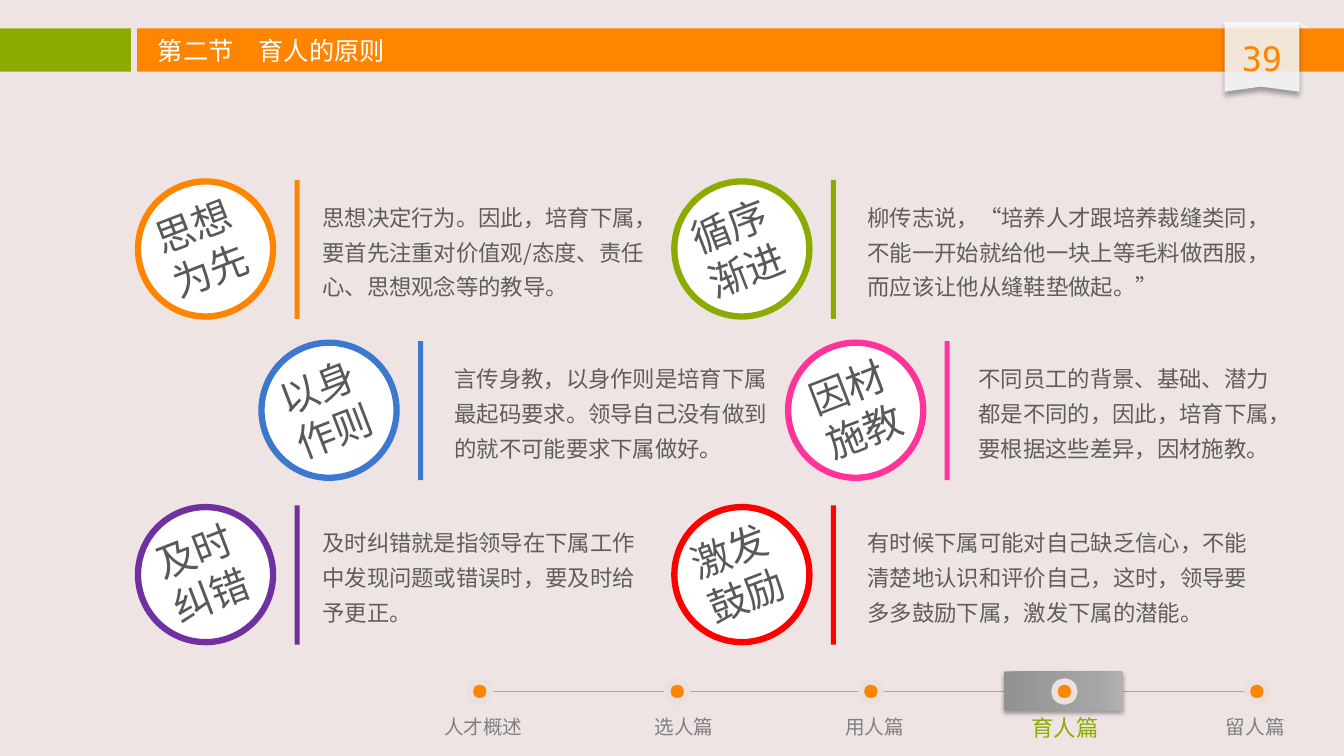
from lxml import etree
from pptx import Presentation, util as u
from pptx.dml.color import RGBColor
from pptx.enum import shapes, text
from pptx.oxml import parse_xml
from pptx.oxml.ns import qn

Pt = u.Pt
MSO = shapes.MSO_SHAPE
COLORS = {
    "bg": "EEE4E4", "orange": "FF8500", "green": "8BAB00", "blue": "3C78CE",
    "pink": "FF3399", "purple": "7030A0", "red": "FF0000", "white": "FFFFFF",
    "fold": "F8F8F8", "ring": "EAE0DE", "track": "A6A6A6", "nav": "808080",
    "label": "595959", "body": "5F5E5C",
    "tab1": "939292", "tab2": "A6A6A7", "tab3": "B6B0B2",
}
SANS = "Noto Sans CJK SC"
A = 'xmlns:a="http://schemas.openxmlformats.org/drawingml/2006/main"'

prs = Presentation()
prs.slide_width, prs.slide_height = Pt(960), Pt(540)
s = prs.slides.add_slide(prs.slide_layouts[6])
s.background.fill.solid()
s.background.fill.fore_color.rgb = RGBColor.from_string(COLORS["bg"])


def style(sp, fill, line=None, alpha=None, shadow=None):
    sp.shadow.inherit = False
    sp.fill.solid()
    sp.fill.fore_color.rgb = RGBColor.from_string(COLORS[fill])
    if alpha:
        color = sp.fill._xPr.find(qn("a:solidFill"))[0]
        etree.SubElement(color, qn("a:alpha")).set("val", str(alpha * 1000))
    if line:
        sp.line.color.rgb = RGBColor.from_string(COLORS[line])
        sp.line.width = Pt(4.5)
    else:
        sp.line.fill.background()
    if shadow:
        blur, dist, opacity = shadow
        sp._element.spPr.find(qn("a:effectLst")).append(parse_xml(
            f'<a:outerShdw {A} blurRad="{Pt(blur)}" dist="{Pt(dist)}" dir="5400000" '
            f'algn="t" rotWithShape="0"><a:srgbClr val="000000">'
            f'<a:alpha val="{opacity * 1000}"/></a:srgbClr></a:outerShdw>'))
    return sp


def add_text(words, x, y, w, h, size, color, font=SANS, center=False,
             wrap=True, spacing=None, rotation=0):
    sp = s.shapes.add_textbox(Pt(x), Pt(y), Pt(w), Pt(h))
    sp.rotation = rotation
    tf = sp.text_frame
    tf.word_wrap = wrap
    tf.auto_size = text.MSO_AUTO_SIZE.SHAPE_TO_FIT_TEXT
    for i, line in enumerate(words.split("\n")):
        p = tf.add_paragraph() if i else tf.paragraphs[0]
        p.alignment = text.PP_ALIGN.CENTER if center else text.PP_ALIGN.LEFT
        if spacing:
            p.line_spacing = spacing
        r = p.add_run()
        r.text = line
        r.font.size = Pt(size)
        r.font.name = font
        r.font.color.rgb = RGBColor.from_string(COLORS[color])
        etree.SubElement(r.font._element, qn("a:ea")).set("typeface", font)


track = s.shapes.add_connector(shapes.MSO_CONNECTOR.STRAIGHT, Pt(347), Pt(493.9), Pt(896.4), Pt(493.9))
track.line.color.rgb = RGBColor.from_string(COLORS["track"])
track.line.width = Pt(1)
etree.SubElement(track._element.spPr, qn("a:effectLst"))

fold = s.shapes.add_shape(MSO.RIGHT_TRIANGLE, Pt(928.1), Pt(15.1), Pt(8.6), Pt(5.8))
style(fold, "fold", alpha=85, shadow=(4, 3, 40))
for x, w, color in [(0, 93.6, "green"), (97.9, 862.1, "orange")]:
    style(s.shapes.add_shape(MSO.RECTANGLE, Pt(x), Pt(20.2), Pt(w), Pt(31)), color)

ribbon = s.shapes.build_freeform(Pt(874.8), Pt(65.5))
ribbon.add_line_segments([(Pt(x), Pt(y)) for x, y in
                          [(874.8, 15.8), (928.1, 15.8), (928.1, 65.5), (900.7, 61.9)]])
style(ribbon.convert_to_shape(), "white", alpha=85, shadow=(4, 3, 40))
add_text("39", 874.8, 23.8, 53.3, 36, 24, "orange", font="DejaVu Sans Mono", center=True)
add_text("第二节　育人的原则", 105.8, 21.6, 362.9, 28.8, 18, "white")

tab = style(s.shapes.add_shape(MSO.ROUNDED_RECTANGLE, Pt(717.1), Pt(479.5), Pt(85), Pt(28.1)),
            "tab1", shadow=(3.1, 1.8, 35))
tab.adjustments[0] = 0.05
solid = tab._element.spPr.find(qn("a:solidFill"))
stops = "".join(f'<a:gs pos="{pos * 1000}"><a:srgbClr val="{COLORS[name]}"/></a:gs>'
                for pos, name in [(0, "tab1"), (80, "tab2"), (100, "tab3")])
solid.getparent().replace(solid, parse_xml(
    f'<a:gradFill {A}><a:gsLst>{stops}</a:gsLst><a:lin ang="0" scaled="0"/></a:gradFill>'))

chapters = [
    ("人才概述", 335.5, 309.6, 71.3), ("选人篇", 476.6, 460.1, 56.9),
    ("用人篇", 614.9, 596.2, 56.9), ("育人篇", 753.1, 729.4, 62.6),
    ("留人篇", 890.6, 868.3, 56.9),
]
for name, dot_x, x, w in chapters:
    current = name == "育人篇"
    dot = s.shapes.add_shape(MSO.OVAL, Pt(dot_x), Pt(486.7), Pt(14.4), Pt(14.4))
    style(dot, "orange", line="ring")
    add_text(name, x, 506.9, w, 24.5, 16 if current else 14,
             "green" if current else "nav", center=True, wrap=False)

ROWS = [129.6, 244.8, 362.2]
principles = [
    (0, 98.6, "orange", "思想\n为先", 94.3, 223.2, 257.8,
     "思想决定行为。因此，培育下属，要首先注重对价值观/态度、责任心、思想观念等的教导。"),
    (1, 186.8, "blue", "以身\n作则", 182.9, 317.5, 239,
     "言传身教，以身作则是培育下属最起码要求。领导自己没有做到的就不可能要求下属做好。"),
    (1, 563, "pink", "因材\n施教", 561.6, 691.9, 236.2,
     "不同员工的背景、基础、潜力都是不同的，因此，培育下属，要根据这些差异，因材施教。"),
    (2, 98.6, "purple", "及时\n纠错", 95, 223.2, 244.1,
     "及时纠错就是指领导在下属工作中发现问题或错误时，要及时给予更正。"),
    (0, 481.7, "green", "循序\n渐进", 477.4, 612.7, 298.1,
     "柳传志说，“培养人才跟培养裁缝类同，不能一开始就给他一块上等毛料做西服，而应该让他从缝鞋垫做起。”"),
    (2, 481.7, "red", "激发\n鼓励", 477.4, 612.7, 298.1,
     "有时候下属可能对自己缺乏信心，不能清楚地认识和评价自己，这时，领导要多多鼓励下属，激发下属的潜能。"),
]
for row, x, color, label, label_x, body_x, body_w, body in principles:
    y = ROWS[row]
    circle = s.shapes.add_shape(MSO.OVAL, Pt(x), Pt(y), Pt(96.5), Pt(96.5))
    style(circle, "white", line=color)
    add_text(label, label_x, y + 10, 99.4, 74.9, 28, "label", center=True, rotation=338.9)
    style(s.shapes.add_shape(MSO.RECTANGLE, Pt(x + 111.8), Pt(y - 1.2), Pt(3.6), Pt(99.4)), color)
    add_text(body, body_x, y + 6.6, body_w, 82.8, 16, "body", spacing=1.3)

prs.save("out.pptx")
